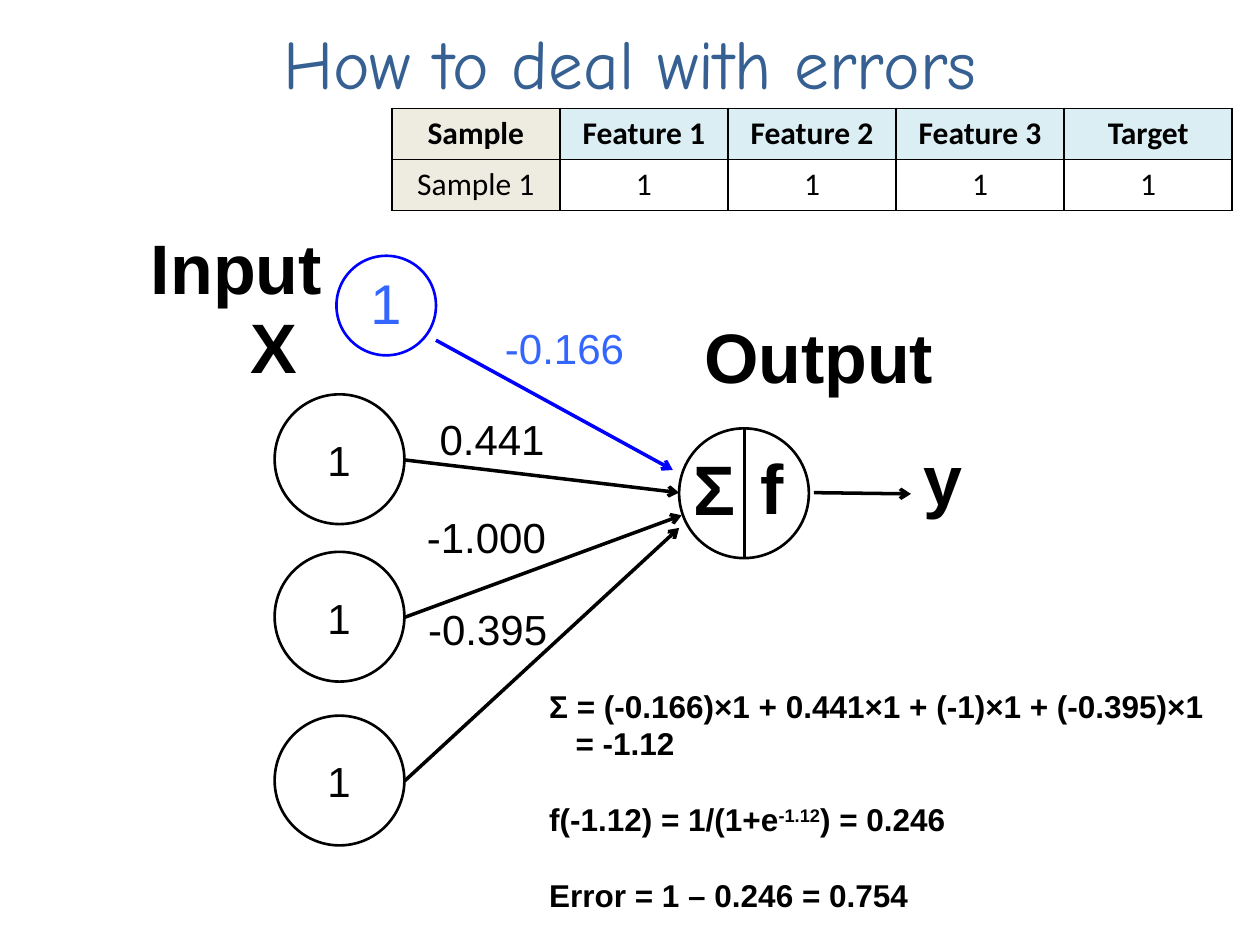
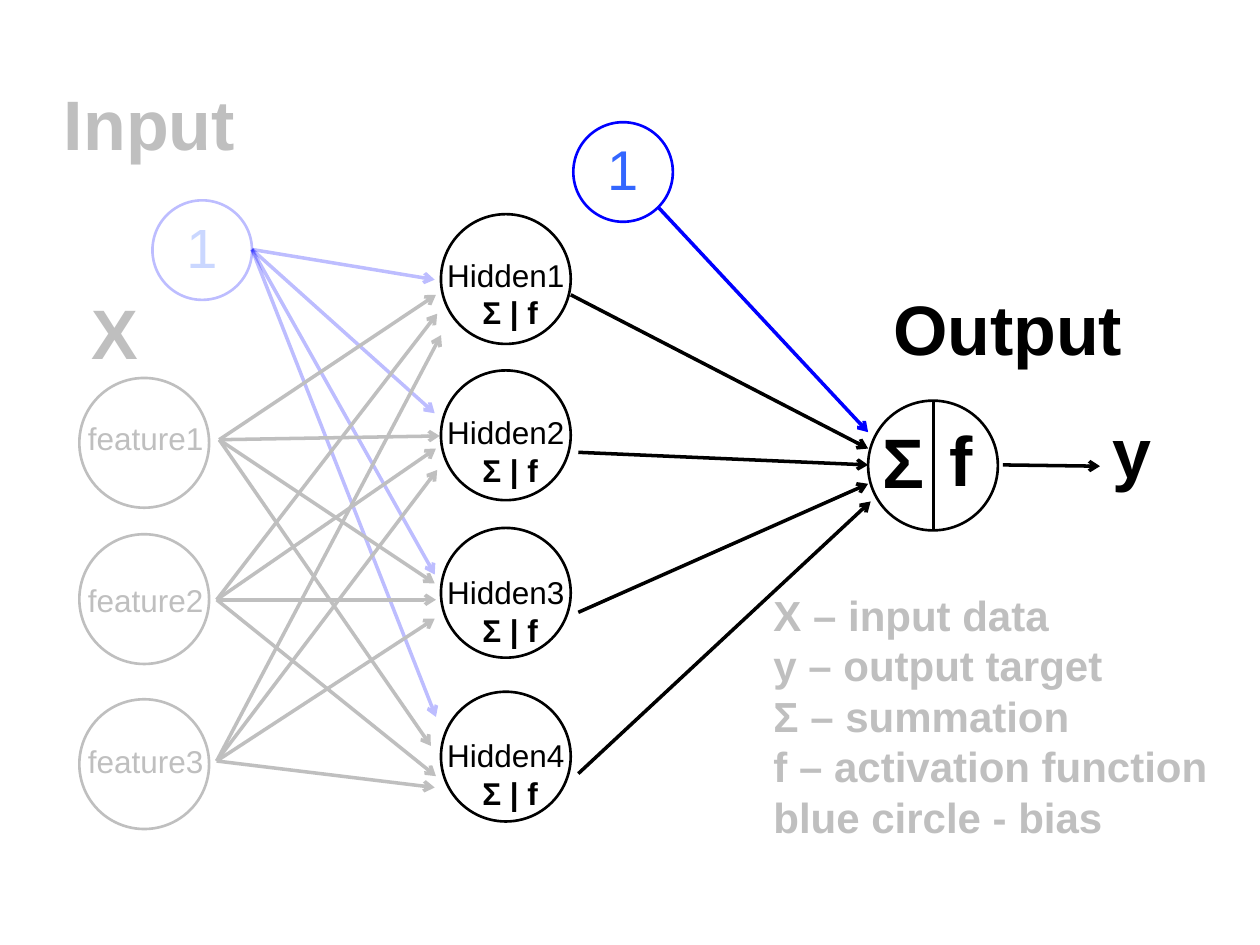
from lxml.etree import SubElement
from pptx import Presentation
from pptx.dml.color import RGBColor
from pptx.enum.shapes import MSO_CONNECTOR, MSO_SHAPE
from pptx.enum.text import MSO_ANCHOR, MSO_AUTO_SIZE, PP_ALIGN
from pptx.oxml.ns import qn
from pptx.util import Inches, Pt

BLACK = "000000"
GREY = "BFBFBF"
BIAS_LINE = "0000FF"
BIAS_TEXT = "3366FF"
TITLE_BLUE = "376092"
SAMPLE_FILL = "EEECE1"
HEADER_FILL = "DBEEF4"
NODE_SIZE = 1.03
BIAS_SIZE = 0.79


def rgb(color):
    return RGBColor.from_string(color)


def fade(shape, percent):
    for color in shape._element.iter(qn("a:srgbClr")):
        SubElement(color, qn("a:alpha")).set("val", str(percent * 1000))


def style_run(run, size, color, bold=False, font="Arial"):
    run.font.name = font
    run.font.size = Pt(size)
    run.font.bold = bold
    run.font.color.rgb = rgb(color)


def indent(paragraph, inches):
    paragraph._p.get_or_add_pPr().set("marL", str(Inches(inches)))


def add_label(slide, left, top, width, text, size, color=BLACK, bold=False):
    line_count = text.count("\n") + 1
    height = line_count * size * 1.2 / 72 + 0.1
    label = slide.shapes.add_textbox(Inches(left), Inches(top), Inches(width), Inches(height))
    text_frame = label.text_frame
    text_frame.word_wrap = False
    text_frame.auto_size = MSO_AUTO_SIZE.SHAPE_TO_FIT_TEXT
    text_frame.text = text
    for paragraph in text_frame.paragraphs:
        for run in paragraph.runs:
            style_run(run, size, color, bold)
    return label


def add_title(slide, text):
    title = slide.shapes.add_textbox(Inches(0.5), Inches(0.17), Inches(9), Inches(0.64))
    text_frame = title.text_frame
    text_frame.word_wrap = True
    text_frame.vertical_anchor = MSO_ANCHOR.MIDDLE
    text_frame.text = text
    paragraph = text_frame.paragraphs[0]
    paragraph.alignment = PP_ALIGN.CENTER
    style_run(paragraph.runs[0], 39.6, TITLE_BLUE, font="Comic Neue")


def add_circle(slide, left, top, size=NODE_SIZE, color=BLACK):
    circle = slide.shapes.add_shape(
        MSO_SHAPE.OVAL, Inches(left), Inches(top), Inches(size), Inches(size))
    circle.shadow.inherit = False
    circle.fill.background()
    circle.line.color.rgb = rgb(color)
    circle.line.width = Pt(1.5)
    return circle


def add_line(slide, start, end, color=BLACK, arrow=True):
    line = slide.shapes.add_connector(
        MSO_CONNECTOR.STRAIGHT, *[Inches(value) for value in (*start, *end)])
    line.line.color.rgb = rgb(color)
    line.line.width = Pt(2)
    if arrow:
        SubElement(line.line._get_or_add_ln(), qn("a:tailEnd")).set("type", "arrow")
    SubElement(line._element.spPr, qn("a:effectLst"))
    return line


def add_fan(slide, start, ends, color):
    return [add_line(slide, start, end, color) for end in ends]


def add_bias(slide, left, top):
    circle = add_circle(slide, left, top, BIAS_SIZE, BIAS_LINE)
    label = add_label(slide, left + 0.17, top + 0.05, 0.45, "1", 32, BIAS_TEXT)
    return [circle, label]


def add_output_unit(slide, left, top):
    add_circle(slide, left, top)
    middle = left + 0.52
    add_line(slide, (middle, top), (middle, top + NODE_SIZE), arrow=False)
    add_line(slide, (left + 1.07, top + 0.51), (left + 1.84, top + 0.52))
    for text, across, down, width in (
            ("Σ", 0.02, 0.09, 0.54), ("f", 0.55, 0.08, 0.4),
            ("y", 1.84, 0.01, 0.52), ("Output", 0.1, -0.96, 2.04)):
        add_label(slide, left + across, top + down, width, text, 40, bold=True)


def add_cell_borders(cell):
    properties = cell._tc.get_or_add_tcPr()
    for index, side in enumerate(("a:lnL", "a:lnR", "a:lnT", "a:lnB")):
        border = properties.makeelement(qn(side), {"w": str(Pt(1))})
        fill = SubElement(border, qn("a:solidFill"))
        SubElement(fill, qn("a:srgbClr")).set("val", BLACK)
        properties.insert(index, border)


def add_sample_table(slide, rows):
    table = slide.shapes.add_table(
        len(rows), len(rows[0]), Inches(3.11), Inches(0.86), Inches(6.67), Inches(0.81)).table
    table.first_row = False
    table.horz_banding = False
    for row_index, row in enumerate(rows):
        for column_index, text in enumerate(row):
            cell = table.cell(row_index, column_index)
            cell.text_frame.text = text
            paragraph = cell.text_frame.paragraphs[0]
            paragraph.alignment = PP_ALIGN.CENTER
            style_run(paragraph.runs[0], 18, BLACK, row_index == 0, "Calibri")
            if row_index and column_index:
                cell.fill.background()
            else:
                cell.fill.solid()
                cell.fill.fore_color.rgb = rgb(HEADER_FILL if column_index else SAMPLE_FILL)
            add_cell_borders(cell)


def add_calculation(slide):
    calculation = add_label(
        slide, 4.26, 5.4, 5.45,
        "Σ = (-0.166)×1 + 0.441×1 + (-1)×1 + (-0.395)×1\n"
        "= -1.12\n"
        "f(-1.12) = 1/(1+e\n"
        "Error = 1 – 0.246 = 0.754", 18, bold=True)
    _, total, activation, error = calculation.text_frame.paragraphs
    indent(total, 0.21)
    for text, baseline in (("-1.12", 30000), (") = 0.246", 0)):
        run = activation.add_run()
        run.text = text
        style_run(run, 18, BLACK, True)
        run._r.get_or_add_rPr().set("baseline", str(baseline))
    for paragraph in (activation, error):
        paragraph.space_before = Pt(21.6)


def add_hidden_node(slide, number, top, label_top):
    add_circle(slide, 3.5, top)
    label = add_label(slide, 3.45, label_top, 1.14, f"Hidden{number}\nΣ | f", 18)
    formula = label.text_frame.paragraphs[1]
    indent(formula, 0.28)
    formula.runs[0].font.bold = True


def build_error_slide(slide):
    add_title(slide, "How to deal with errors")
    add_sample_table(slide, [
        ["Sample", "Feature 1", "Feature 2", "Feature 3", "Target"],
        ["Sample 1", "1", "1", "1", "1"]])
    add_label(slide, 1.1, 1.73, 1.57, "Input", 40, bold=True)
    add_label(slide, 1.89, 2.36, 0.58, "X", 40, bold=True)

    add_bias(slide, 2.67, 2.03)
    add_line(slide, (3.46, 2.7), (5.34, 3.73), BIAS_LINE)
    add_label(slide, 3.91, 2.51, 1.16, "-0.166", 24, BIAS_TEXT)

    inputs = [
        (3.13, (5.39, 3.91), "0.441", (3.39, 3.23), 1.04),
        (4.38, (5.41, 4.09), "-1.000", (3.29, 4.01), 1.16),
        (5.68, (5.39, 4.19), "-0.395", (3.3, 4.74), 1.16)]
    for top, end, weight, weight_position, width in inputs:
        add_circle(slide, 2.18, top)
        add_label(slide, 2.5, top + 0.27, 0.39, "1", 24)
        add_line(slide, (3.21, top + 0.52), end)
        add_label(slide, *weight_position, width, weight, 24)

    add_output_unit(slide, 5.39, 3.4)
    add_calculation(slide)


def build_network_slide(slide):
    add_label(slide, 0.41, 0.59, 1.57, "Input", 40, GREY, True)
    add_label(slide, 0.63, 2.25, 0.58, "X", 40, GREY, True)
    faded = add_bias(slide, 1.21, 1.59)
    faded += add_fan(
        slide, (2, 1.98), [(3.45, 2.22), (3.45, 3.28), (3.45, 4.56), (3.46, 5.69)], BIAS_LINE)
    for shape in faded:
        fade(shape, 25)

    features = [
        (3, 3.28, (1.74, 3.49), [(3.46, 2.34), (3.49, 3.46), (3.45, 4.63), (3.42, 5.92)]),
        (4.24, 4.56, (1.72, 4.76), [(3.47, 2.49), (3.46, 3.56), (3.46, 4.76), (3.46, 6.16)]),
        (5.55, 5.84, (1.72, 6.04), [(3.5, 2.66), (3.47, 3.73), (3.45, 4.91), (3.45, 6.25)])]
    for number, (top, label_top, start, ends) in enumerate(features, 1):
        add_circle(slide, 0.63, top, color=GREY)
        add_label(slide, 0.6, label_top, 1.13, f"feature{number}", 18, GREY)
        add_fan(slide, start, ends, GREY)

    hidden_nodes = [
        (1.7, 1.98, (4.53, 2.34), (6.89, 3.56)),
        (2.94, 3.23, (4.59, 3.59), (6.89, 3.69)),
        (4.19, 4.5, (4.59, 4.86), (6.89, 3.84)),
        (5.49, 5.79, (4.59, 6.14), (6.91, 3.98))]
    for number, (top, label_top, start, end) in enumerate(hidden_nodes, 1):
        add_hidden_node(slide, number, top, label_top)
        add_line(slide, start, end)

    add_bias(slide, 4.55, 0.97)
    add_line(slide, (5.22, 1.64), (6.89, 3.43), BIAS_LINE)
    add_output_unit(slide, 6.89, 3.18)
    add_label(
        slide, 6.04, 4.63, 3.68,
        "X – input data\ny – output target\nΣ – summation\n"
        "f – activation function\nblue circle - bias", 24, GREY, True)


def main():
    presentation = Presentation()
    presentation.slide_width = Inches(10)
    presentation.slide_height = Inches(7.5)
    for build_slide in (build_error_slide, build_network_slide):
        build_slide(presentation.slides.add_slide(presentation.slide_layouts[6]))
    presentation.save("out.pptx")


if __name__ == "__main__":
    main()
